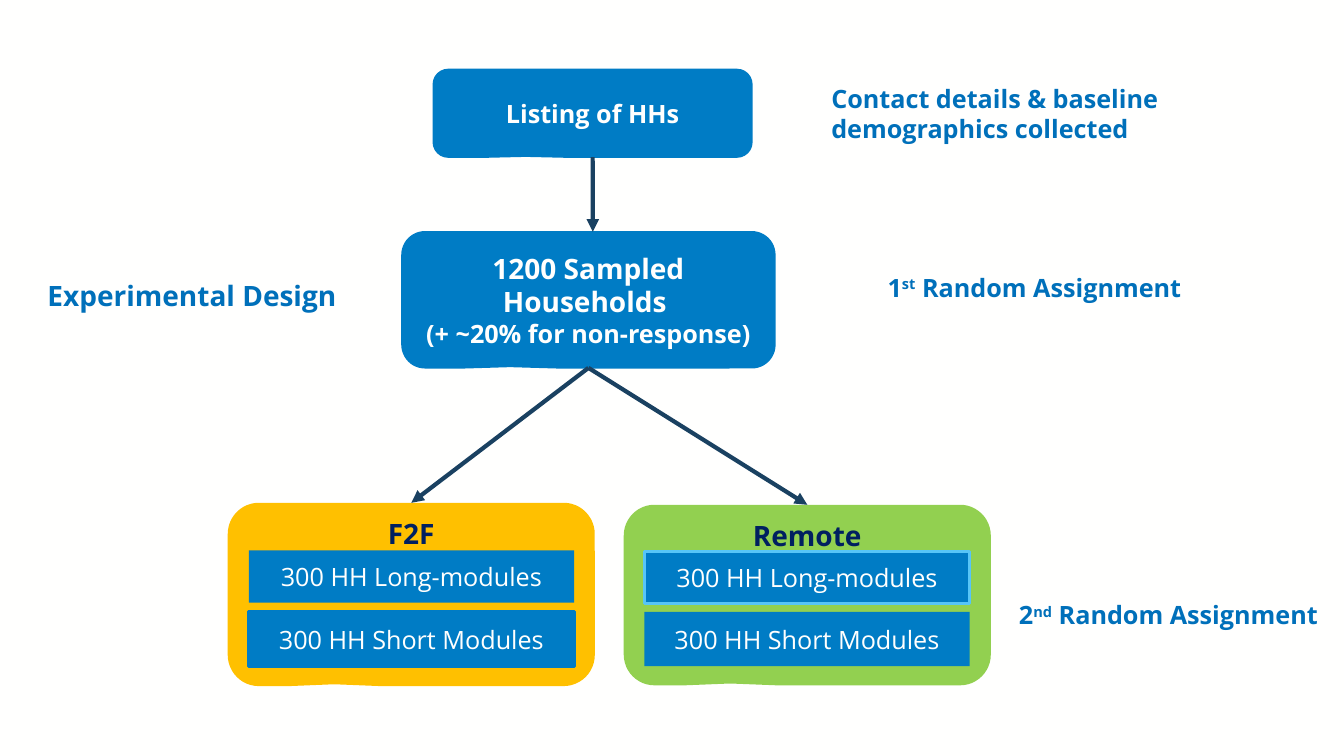
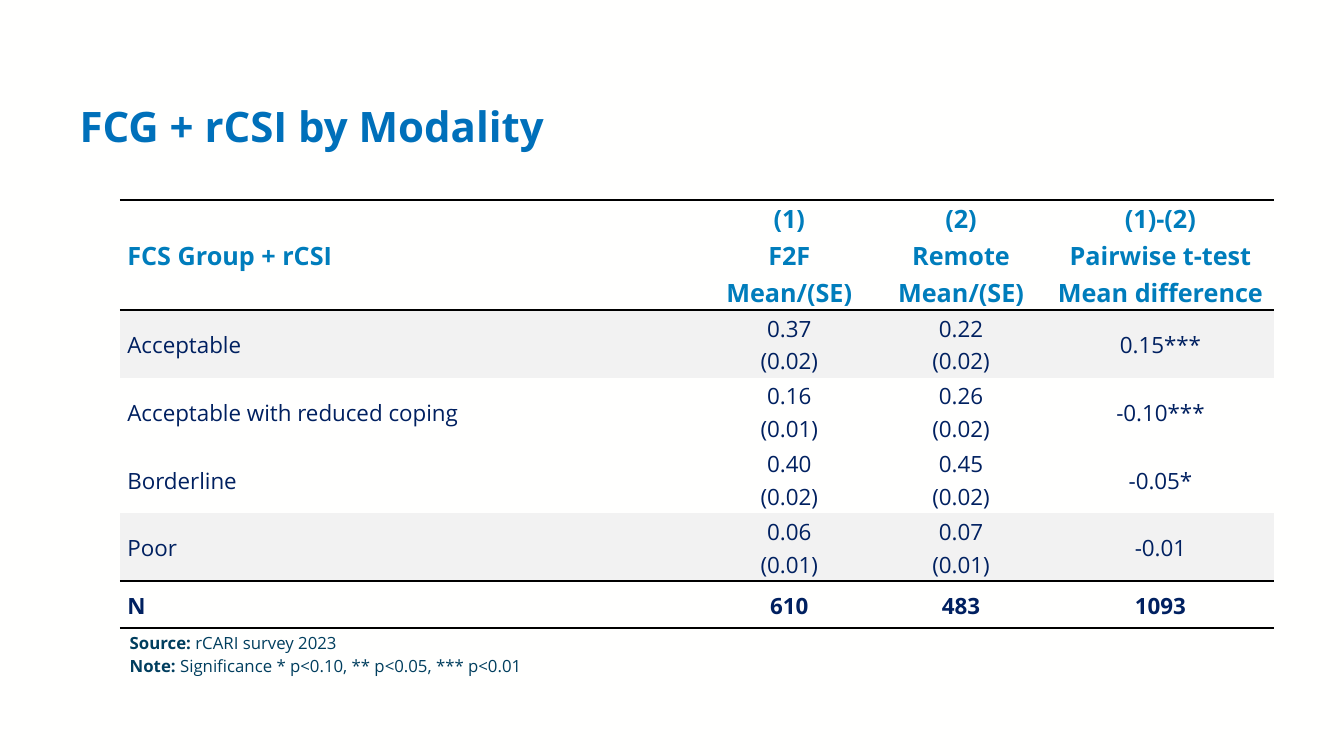
from lxml import etree
from pptx import Presentation
from pptx.dml.color import RGBColor
from pptx.enum import shapes, text
from pptx.oxml import ns
from pptx.util import Cm, Pt

FONT = "Open Sans"
WHITE = "FFFFFE"
BLUE = "007CC5"
TITLE_BLUE = "0070BA"
HEADER_BLUE = "007DBC"
NAVY = "002060"
ARROW = "1A4161"
NOTE = "003E5E"
GREY = "F2F2F2"
LEFT, CENTER, JUSTIFY = text.PP_ALIGN.LEFT, text.PP_ALIGN.CENTER, text.PP_ALIGN.JUSTIFY
MIDDLE, TOP = text.MSO_ANCHOR.MIDDLE, text.MSO_ANCHOR.TOP


def color(value):
    return RGBColor.from_string(value)


def write(frame, content, size, value, bold=True, align=LEFT, anchor=TOP, spacing=1.0):
    frame.text = content
    frame.word_wrap = True
    frame.vertical_anchor = anchor
    for paragraph in frame.paragraphs:
        paragraph.alignment = align
        paragraph.line_spacing = spacing
        paragraph.font.name = FONT
        paragraph.font.size = Pt(size)
        paragraph.font.bold = bold
        paragraph.font.color.rgb = color(value)


presentation = Presentation()
presentation.slide_width = Cm(33.87)
presentation.slide_height = Cm(19.05)
background = presentation.slide_master.background.fill
background.solid()
background.fore_color.rgb = color(WHITE)

slides = []
for title, size, left, top, height in [
    ("Experimental Design", 20, 0.94, 5.94, 3.1),
    ("FCG + rCSI by Modality", 30, 1.75, 1.47, 3.56),
]:
    slide = presentation.slides.add_slide(presentation.slide_layouts[5])
    shape = slide.shapes.title
    shape.left, shape.top, shape.width, shape.height = Cm(left), Cm(top), Cm(30.58), Cm(height)
    write(shape.text_frame, title, size, TITLE_BLUE, anchor=MIDDLE, spacing=0.9)
    shape.text_frame.auto_size = text.MSO_AUTO_SIZE.NONE
    slides.append(slide)
design, results = slides

CALLOUT = shapes.MSO_SHAPE.ROUNDED_RECTANGULAR_CALLOUT
BAR = shapes.MSO_SHAPE.RECTANGLE
boxes = {}
for kind, name, left, top, width, height, fill, line, label, size, value, bold, anchor in [
    (CALLOUT, "listing", 10.92, 1.75, 8.03, 2.21, BLUE, (BLUE, 1), "Listing of HHs", 18, WHITE, True, MIDDLE),
    (CALLOUT, "sample", 10.13, 5.84, 9.4, 3.43, BLUE, (BLUE, 1),
     "1200 Sampled Households \n(+ ~20% for non-response)", 20, WHITE, True, MIDDLE),
    (CALLOUT, "f2f", 5.74, 12.67, 9.25, 4.62, "FFC000", None, "F2F", 20, NAVY, True, TOP),
    (CALLOUT, "remote", 15.72, 12.72, 9.25, 4.55, "92D050", None, "Remote", 20, NAVY, True, TOP),
    (BAR, "f2f long", 6.27, 13.87, 8.2, 1.32, BLUE, None, "300 HH Long-modules", 18, WHITE, False, MIDDLE),
    (BAR, "f2f short", 6.27, 15.42, 8.2, 1.37, BLUE, (BLUE, 2.25), "300 HH Short Modules", 18, WHITE, False, MIDDLE),
    (BAR, "remote long", 16.24, 13.9, 8.2, 1.32, BLUE, ("57C5F7", 2.25), "300 HH Long-modules", 18, WHITE, False, MIDDLE),
    (BAR, "remote short", 16.24, 15.42, 8.2, 1.37, BLUE, None, "300 HH Short Modules", 18, WHITE, False, MIDDLE),
]:
    shape = design.shapes.add_shape(kind, Cm(left), Cm(top), Cm(width), Cm(height))
    shape.shadow.inherit = False
    if kind == CALLOUT:
        for index, adjustment in enumerate((-0.21, 0.49, 0.17)):
            shape.adjustments[index] = adjustment
    shape.fill.solid()
    shape.fill.fore_color.rgb = color(fill)
    if line:
        shape.line.color.rgb = color(line[0])
        shape.line.width = Pt(line[1])
    else:
        shape.line.fill.background()
    write(shape.text_frame, label, size, value, bold, CENTER, anchor)
    boxes[name] = shape
boxes["sample"].text_frame.paragraphs[1].font.size = Pt(18)

for start, end in [("listing", None), ("sample", "f2f"), ("sample", "remote")]:
    connector = design.shapes.add_connector(
        shapes.MSO_CONNECTOR.STRAIGHT, Cm(14.94), Cm(3.96), Cm(14.94), Cm(5.84))
    connector.begin_connect(boxes[start], 2)
    if end:
        connector.end_connect(boxes[end], 0)
    connector.line.color.rgb = color(ARROW)
    connector.line.width = Pt(3)
    etree.SubElement(connector.line._get_or_add_ln(), ns.qn("a:tailEnd"), type="triangle")
    etree.SubElement(connector._element.spPr, ns.qn("a:effectLst"))

for left, top, width, height, label, ordinal, rest in [
    (20.7, 1.98, 11.5, 1.8, "Contact details & baseline demographics collected", "", ""),
    (22.12, 6.73, 8.05, 1.02, "1", "st", " Random Assignment"),
    (25.43, 14.99, 8.35, 1.02, "2", "nd", " Random Assignment"),
]:
    shape = design.shapes.add_textbox(Cm(left), Cm(top), Cm(width), Cm(height))
    write(shape.text_frame, label, 18, TITLE_BLUE)
    if ordinal:
        paragraph = shape.text_frame.paragraphs[0]
        run = paragraph.add_run()
        run.text = ordinal
        run._r.get_or_add_rPr().set("baseline", "30000")
        paragraph.add_run().text = rest

rows = [
    ("FCS Group + rCSI", "(1)\nF2F\nMean/(SE)", "(2)\nRemote\nMean/(SE)", "(1)-(2)\nPairwise t-test\nMean difference"),
    ("Acceptable", "0.37\n(0.02)", "0.22\n(0.02)", "0.15***"),
    ("Acceptable with reduced coping", "0.16\n(0.01)", "0.26\n(0.02)", "-0.10***"),
    ("Borderline", "0.40\n(0.02)", "0.45\n(0.02)", "-0.05*"),
    ("Poor", "0.06\n(0.01)", "0.07\n(0.01)", "-0.01"),
    ("N", "610", "483", "1093"),
]
widths = [14.71, 4.32, 4.34, 5.71]
heights = [2.67] + [1.71] * 4 + [1.19]
last = len(rows) - 1
ruled = {"lnT": (0, 1, last), "lnB": (0, last - 1, last)}
table = results.shapes.add_table(
    len(rows), len(widths), Cm(3.02), Cm(5.03), Cm(sum(widths)), Cm(sum(heights))).table
table.first_row = False
table.horz_banding = False
for column, width in zip(table.columns, widths):
    column.width = Cm(width)
for row_index, (row, height) in enumerate(zip(rows, heights)):
    table.rows[row_index].height = Cm(height)
    header = row_index == 0
    for column_index, content in enumerate(row):
        cell = table.cell(row_index, column_index)
        cell.margin_left = cell.margin_right = Cm(0.19)
        cell.margin_top = cell.margin_bottom = 0
        write(cell.text_frame, content, 18 if header else 16, HEADER_BLUE if header else NAVY,
              row_index in (0, last), CENTER if column_index else LEFT, spacing=1.07)
        cell.vertical_anchor = MIDDLE
        if row_index in (1, 4):
            cell.fill.solid()
            cell.fill.fore_color.rgb = color(GREY)
        else:
            cell.fill.background()
        properties = cell._tc.get_or_add_tcPr()
        for position, side in enumerate(("lnL", "lnR", "lnT", "lnB")):
            border = etree.Element(ns.qn("a:" + side), w=str(Pt(1.5)))
            if row_index in ruled.get(side, ()):
                paint = etree.SubElement(border, ns.qn("a:solidFill"))
                etree.SubElement(paint, ns.qn("a:srgbClr"), val="000000")
            else:
                etree.SubElement(border, ns.qn("a:noFill"))
            properties.insert(position, border)

shape = results.shapes.add_textbox(Cm(3.02), Cm(15.75), Cm(16.94), Cm(1.4))
write(shape.text_frame, "Source:\nNote:", 12, NOTE, False, JUSTIFY, spacing=1.15)
for paragraph, rest in zip(
    shape.text_frame.paragraphs,
    (" rCARI survey 2023", " Significance * p<0.10, ** p<0.05, *** p<0.01"),
):
    paragraph.runs[0].font.bold = True
    paragraph.add_run().text = rest

presentation.save("out.pptx")
